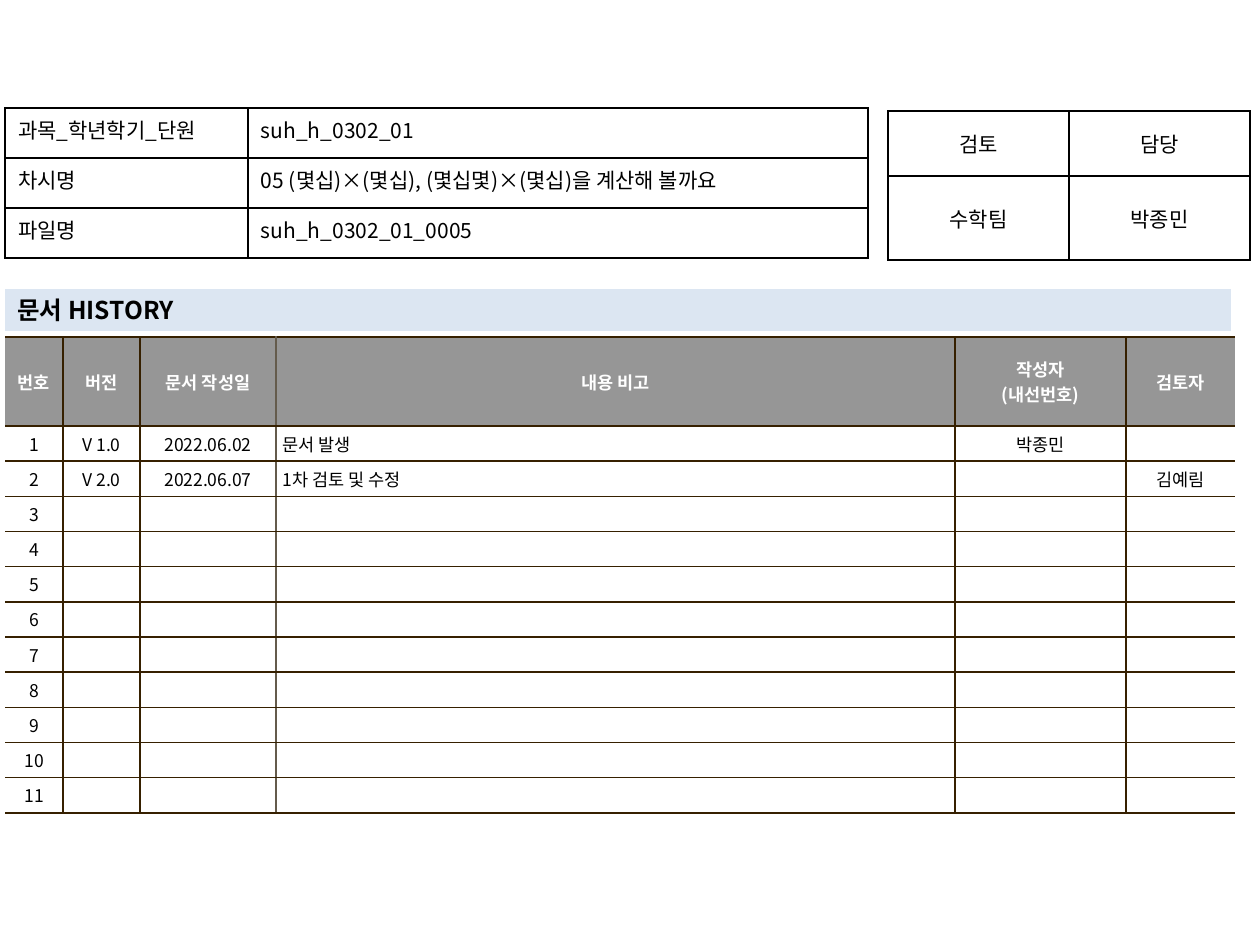
from dataclasses import dataclass, field

import lxml.etree
import pptx
import pptx.dml.color
import pptx.enum.shapes
import pptx.enum.text
import pptx.oxml.ns
import pptx.util

PX = 914400 / 126
FONT = "Noto Sans CJK KR"
BLACK, WHITE, GREY, BLUE = "000000", "FFFFFF", "969696", "DCE6F2"
BROWN, TAUPE = "362000", "645B4C"
ALIGN = pptx.enum.text.PP_ALIGN
ANCHOR = pptx.enum.text.MSO_ANCHOR
qn = pptx.oxml.ns.qn


@dataclass(frozen=True)
class TextStyle:
    size: int
    color: str = BLACK
    bold: bool = False
    align: ALIGN = ALIGN.LEFT
    hanging: int = 0


@dataclass(frozen=True)
class Grid:
    left: int
    top: int
    columns: list[int]
    rows: list[int]
    texts: list[list[str]]
    column_styles: list[TextStyle]
    anchor: ANCHOR
    margins: tuple[int, int]  # horizontal, vertical
    border: str
    fill: str | None = None
    header_style: TextStyle | None = None
    header_fill: str | None = None
    open_sides: bool = False
    divider_colors: dict[int, str] = field(default_factory=dict)


def px(length: int) -> pptx.util.Emu:
    return pptx.util.Emu(round(length * PX))


def rgb(color: str) -> pptx.dml.color.RGBColor:
    return pptx.dml.color.RGBColor.from_string(color)


def set_attributes(target, values: dict) -> None:
    for name, value in values.items():
        setattr(target, name, value)


def write(frame, text: str, style: TextStyle) -> None:
    for index, line in enumerate(text.split("\n")):
        paragraph = frame.paragraphs[0] if index == 0 else frame.add_paragraph()
        paragraph.alignment = style.align
        if not line:
            # An empty cell keeps the size of its column's text
            end = lxml.etree.SubElement(paragraph._p, qn("a:endParaRPr"))
            end.set("sz", str(style.size * 100))
            continue
        if style.hanging:
            properties = paragraph._p.get_or_add_pPr()
            properties.set("marL", str(px(style.hanging)))
            properties.set("indent", str(-px(style.hanging)))
        run = paragraph.add_run()
        run.text = line
        set_attributes(run.font, {"name": FONT, "bold": style.bold,
                                  "size": pptx.util.Pt(style.size)})
        run.font.color.rgb = rgb(style.color)
        east_asian = lxml.etree.SubElement(run.font._element, qn("a:ea"))
        east_asian.set("typeface", FONT)


def add_border(cell, side: str, color: str | None) -> None:
    line = lxml.etree.SubElement(cell._tc.get_or_add_tcPr(), qn(f"a:ln{side}"))
    line.set("w", str(pptx.util.Pt(1)))
    if color is None:
        lxml.etree.SubElement(line, qn("a:noFill"))
        return
    solid = lxml.etree.SubElement(line, qn("a:solidFill"))
    lxml.etree.SubElement(solid, qn("a:srgbClr")).set("val", color)


def draw_grid(slide, grid: Grid) -> None:
    table = slide.shapes.add_table(
        len(grid.rows), len(grid.columns), px(grid.left), px(grid.top),
        px(sum(grid.columns)), px(sum(grid.rows))).table
    set_attributes(table, {"first_row": False, "horz_banding": False})
    for column, width in zip(table.columns, grid.columns):
        column.width = px(width)
    for row, height in zip(table.rows, grid.rows):
        row.height = px(height)

    # Colours of the vertical lines, from the left edge to the right edge
    last = len(grid.columns)
    verticals = [grid.divider_colors.get(i, grid.border) for i in range(last + 1)]
    if grid.open_sides:
        verticals[0] = verticals[last] = None

    across, down = map(px, grid.margins)
    for r, row_texts in enumerate(grid.texts):
        for c, text in enumerate(row_texts):
            cell = table.cell(r, c)
            set_attributes(cell, {
                "margin_left": across, "margin_right": across,
                "margin_top": down, "margin_bottom": down,
                "vertical_anchor": grid.anchor})
            borders = {"L": verticals[c], "R": verticals[c + 1],
                       "T": grid.border, "B": grid.border}
            for side, color in borders.items():
                add_border(cell, side, color)
            is_header = r == 0 and grid.header_style is not None
            fill = grid.header_fill if is_header else grid.fill
            if fill:
                cell.fill.solid()
                cell.fill.fore_color.rgb = rgb(fill)
            else:
                cell.fill.background()
            style = grid.header_style if is_header else grid.column_styles[c]
            write(cell.text_frame, text, style)


def draw_heading(slide, left: int, top: int, width: int, height: int,
                 text: str) -> None:
    bar = slide.shapes.add_shape(pptx.enum.shapes.MSO_SHAPE.RECTANGLE,
                                 px(left), px(top), px(width), px(height))
    bar.shadow.inherit = False
    bar.fill.solid()
    bar.fill.fore_color.rgb = rgb(BLUE)
    bar.line.fill.background()
    set_attributes(bar.text_frame, {"word_wrap": True,
                                    "vertical_anchor": ANCHOR.MIDDLE})
    write(bar.text_frame, text, TextStyle(14, bold=True))


def main() -> None:
    presentation = pptx.Presentation()
    set_attributes(presentation, {"slide_width": px(1260), "slide_height": px(945)})
    slide = presentation.slides.add_slide(presentation.slide_layouts[6])

    # Document history
    history_texts = [
        ["번호", "버전", "문서 작성일", "내용 비고", "작성자\n(내선번호)", "검토자"],
        ["1", "V 1.0", "2022.06.02", "문서 발생", "박종민", ""],
        ["2", "V 2.0", "2022.06.07", "1차 검토 및 수정", "", "김예림"],
    ] + [[str(number)] + [""] * 5 for number in range(3, 12)]
    centred = TextStyle(10, align=ALIGN.CENTER)
    note = TextStyle(10, hanging=24)
    draw_grid(slide, Grid(
        left=5, top=337, columns=[58, 77, 136, 679, 171, 109],
        rows=[89] + [31] * 11, texts=history_texts,
        column_styles=[centred] * 3 + [note] + [centred] * 2,
        anchor=ANCHOR.MIDDLE, margins=(7, 5), border=BROWN, fill=WHITE,
        header_style=TextStyle(10, WHITE, True, ALIGN.CENTER),
        header_fill=GREY, open_sides=True, divider_colors={3: TAUPE}))

    # Review and owner
    draw_grid(slide, Grid(
        left=888, top=111, columns=[181] * 2, rows=[65, 84],
        texts=[["검토", "담당"], ["수학팀", "박종민"]],
        column_styles=[TextStyle(12, align=ALIGN.CENTER)] * 2,
        anchor=ANCHOR.MIDDLE, margins=(13, 6), border=BLACK))

    # Section heading
    draw_heading(slide, 5, 289, 1226, 42, "문서 HISTORY")

    # Lesson details
    draw_grid(slide, Grid(
        left=5, top=108, columns=[243, 620], rows=[50] * 3,
        texts=[["과목_학년학기_단원", "suh_h_0302_01"],
               ["차시명", "05 (몇십)×(몇십), (몇십몇)×(몇십)을 계산해 볼까요"],
               ["파일명", "suh_h_0302_01_0005"]],
        column_styles=[TextStyle(12, align=ALIGN.JUSTIFY), TextStyle(12)],
        anchor=ANCHOR.TOP, margins=(13, 6), border=BLACK))

    presentation.save("out.pptx")


if __name__ == "__main__":
    main()
